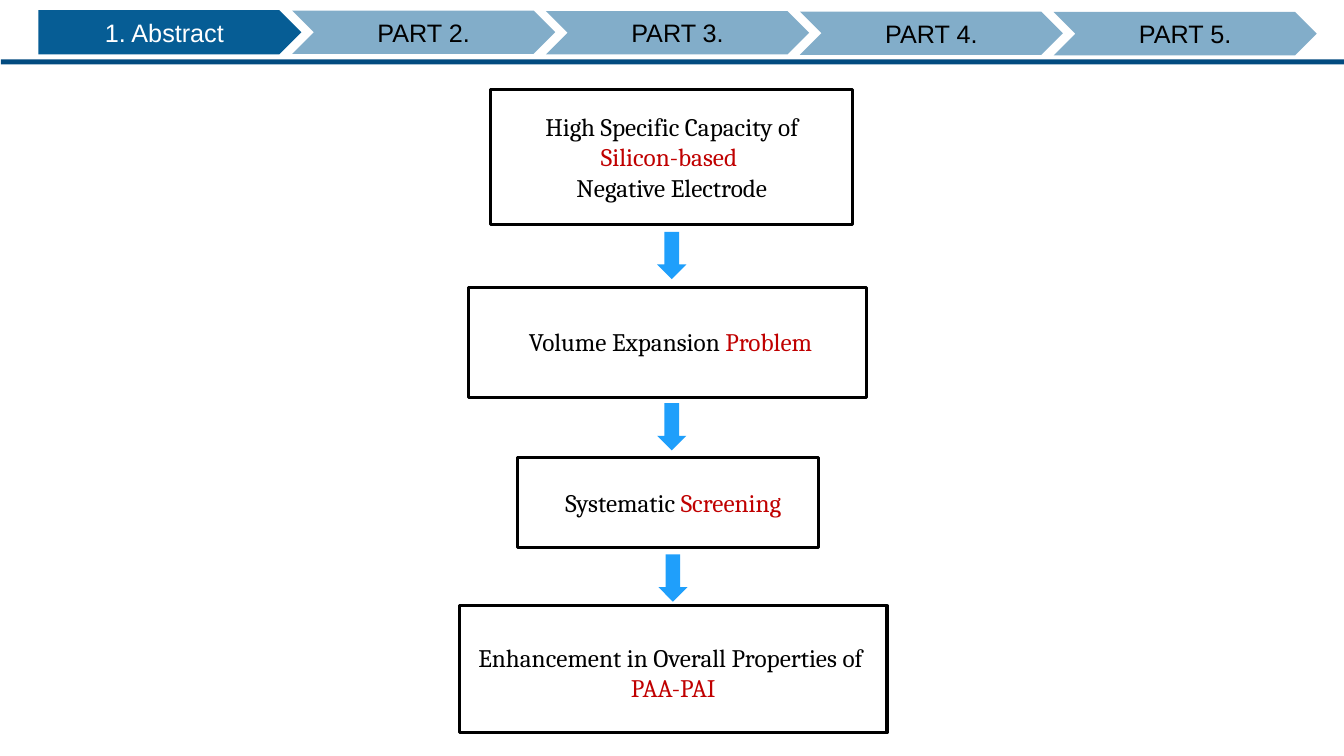
from lxml import etree
from pptx import Presentation
from pptx.dml.color import RGBColor
from pptx.enum.shapes import MSO_SHAPE
from pptx.enum.text import MSO_ANCHOR, MSO_AUTO_SIZE, PP_ALIGN
from pptx.oxml.ns import qn
from pptx.util import Pt

RECT = MSO_SHAPE.RECTANGLE
ARROW = MSO_SHAPE.DOWN_ARROW
PLATE = MSO_SHAPE.PENTAGON
CHEVRON = MSO_SHAPE.CHEVRON
MIDDLE = MSO_ANCHOR.MIDDLE
CENTER = PP_ALIGN.CENTER
GROW = MSO_AUTO_SIZE.SHAPE_TO_FIT_TEXT
BLACK, RED, WHITE = "000000", "C00000", "FFFFFF"
NAVY, BLUE, SKY = "024B80", "065D95", "1F9FFB"

deck = Presentation()
deck.slide_width, deck.slide_height = Pt(960), Pt(540)
slide = deck.slides.add_slide(deck.slide_layouts[6])


def draw(kind, place, fill=None, line=None):
    shape = slide.shapes.add_shape(kind, *[Pt(v) for v in place])
    shape.shadow.inherit = False
    if fill:
        shape.fill.solid()
        shape.fill.fore_color.rgb = RGBColor.from_string(fill)
    else:
        shape.fill.background()
    if line:
        shape.line.color.rgb = RGBColor.from_string(line)
        shape.line.width = Pt(2.25)
    else:
        shape.line.fill.background()
    return shape


def write(shape, lines, font="Cambria", size=18, wrap=True):
    frame = shape.text_frame
    frame.word_wrap = wrap
    frame.vertical_anchor = MIDDLE
    for i, line in enumerate(lines):
        para = frame.paragraphs[0] if i == 0 else frame.add_paragraph()
        para.alignment = CENTER
        for text, color in line:
            run = para.add_run()
            run.text = text
            run.font.name = font
            run.font.size = Pt(size)
            run.font.color.rgb = RGBColor.from_string(color)


draw(RECT, (0.7, 42.5, 959.3, 3.6), NAVY)

steps = [
    ((350.6, 64.1, 258.5, 96.5), (378, 75.6, 203.8, 72.7), False,
     [[("High Specific Capacity of", BLACK)],
      [("Silicon-based ", RED)],
      [("Negative Electrode", BLACK)]]),
    ((334.8, 205.2, 284.4, 78.5), (360, 229.7, 241.9, 28.8), True,
     [[("Volume Expansion ", BLACK), ("Problem ", RED)]]),
    ((369.4, 326.9, 215.3, 64.1), (395.3, 344.2, 171.4, 28.8), False,
     [[("Systematic ", BLACK), ("Screening", RED)]]),
    ((328.3, 432.7, 305.3, 90.7), (331.2, 455, 299.5, 51.1), True,
     [[("Enhancement in Overall Properties of ", BLACK)],
      [("PAA-PAI", RED)]]),
]
for frame, place, wrap, lines in steps:
    draw(RECT, frame, line=BLACK)
    label = slide.shapes.add_textbox(*[Pt(v) for v in place])
    write(label, lines, wrap=wrap)
    label.text_frame.auto_size = GROW

for left, top in [(469.4, 165.6), (469.4, 288), (470.2, 396)]:
    draw(ARROW, (left, top, 20.9, 33.8), SKY)

parts = ["1. Abstract", "PART 2.", "PART 3.", "PART 4.", "PART 5."]
for i, name in enumerate(parts):
    first = i == 0
    place = (27.4 + 181.3 * i, 7.2 + 0.35 * i, 187.9, 31.7 if first else 31)
    tab = draw(PLATE if first else CHEVRON, place, BLUE)
    write(tab, [[(name, WHITE if first else BLACK)]], font="Arial")
    if not first:
        tint = tab.fill._xPr.find(qn("a:solidFill"))[0]
        etree.SubElement(tint, qn("a:alpha"), val="50000")

deck.save("out.pptx")
